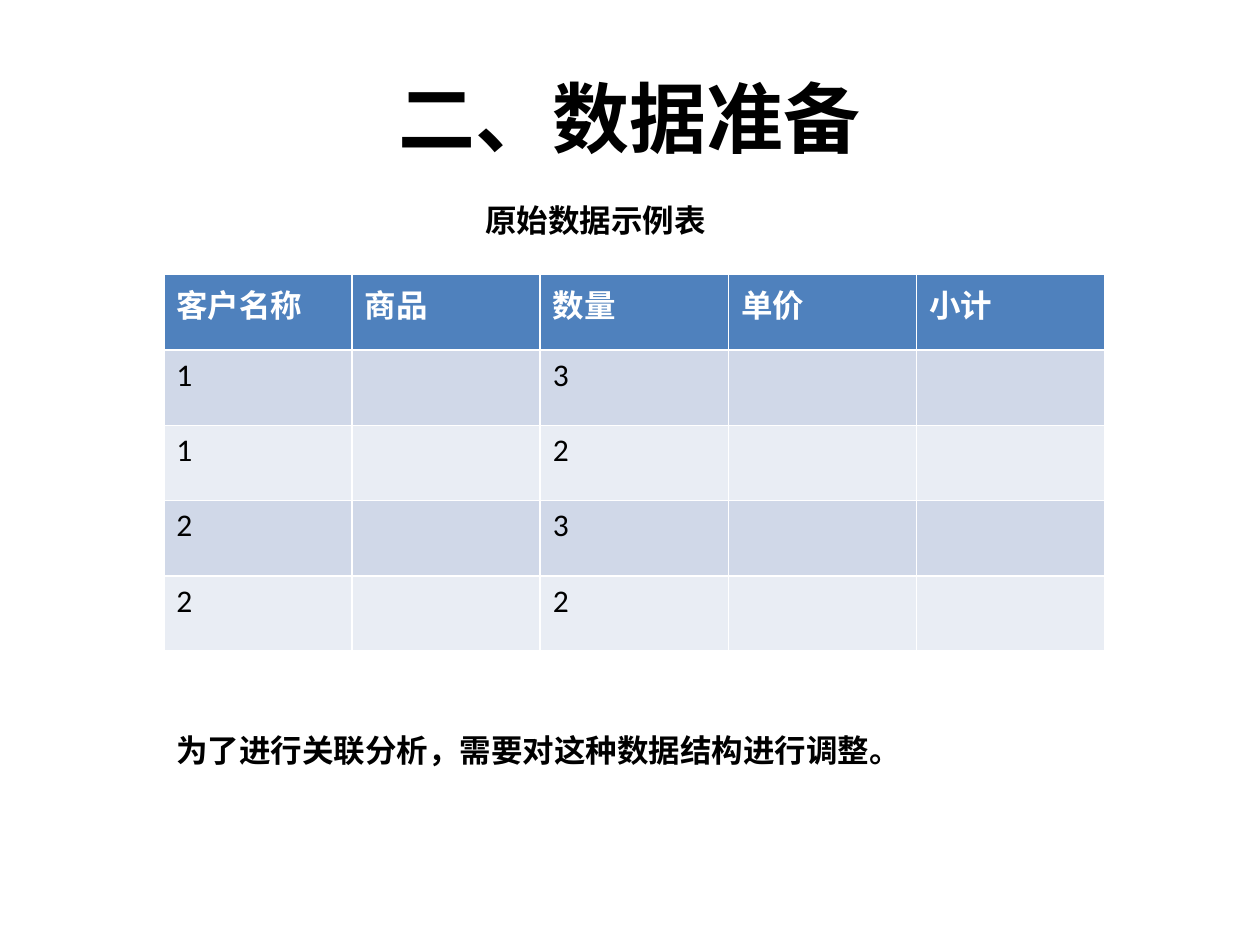
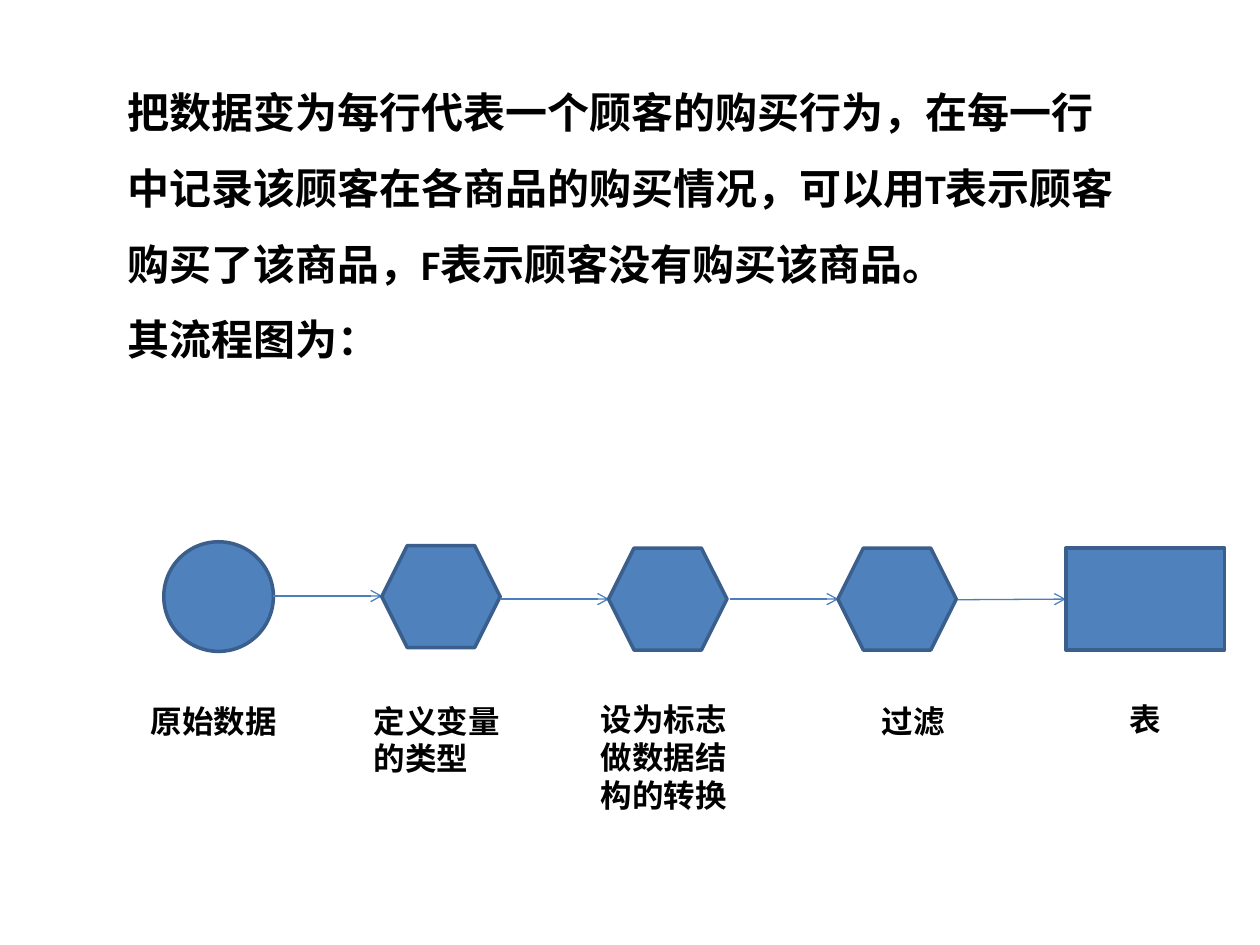
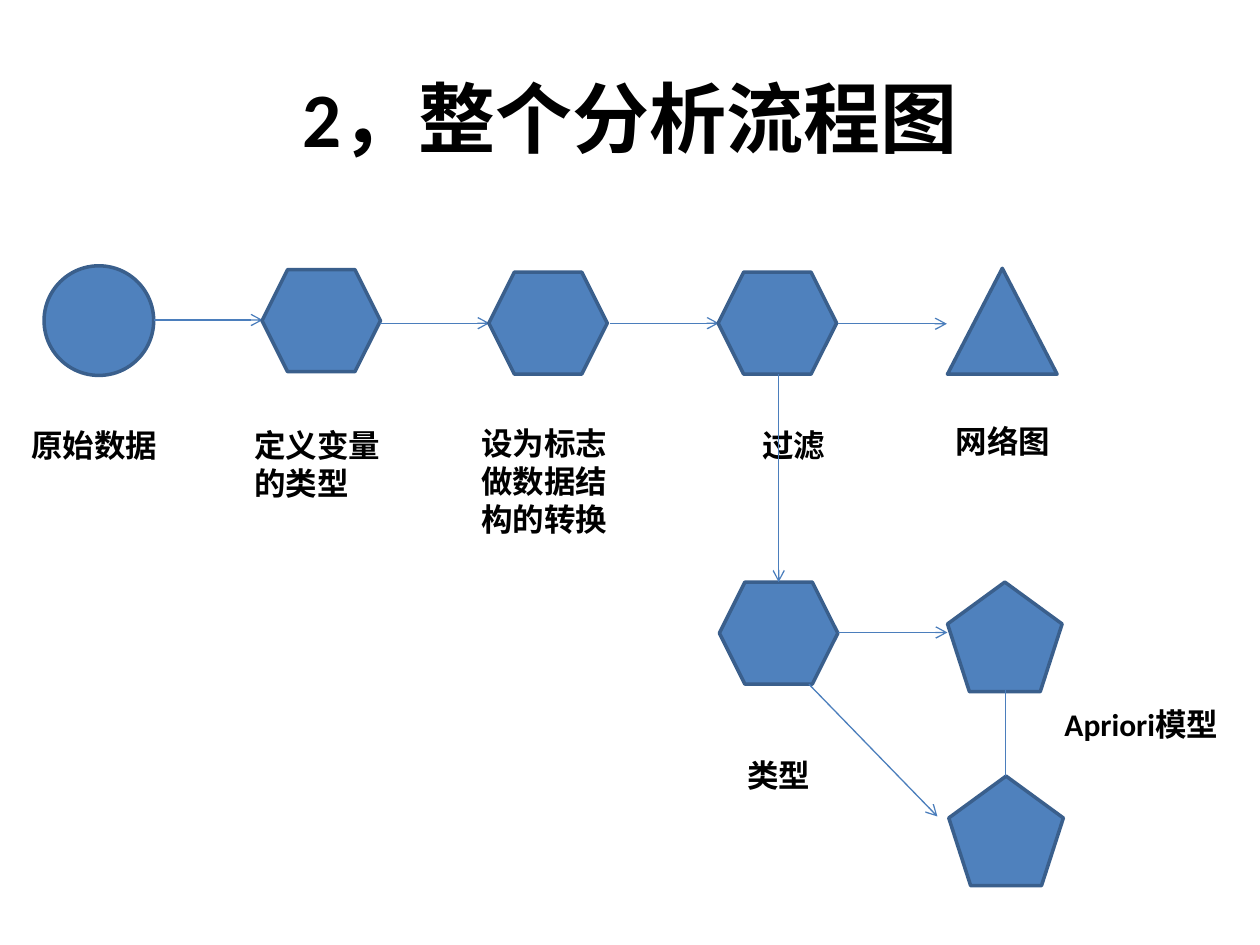
from dataclasses import dataclass

from lxml import etree
from pptx import Presentation
from pptx import util as u
from pptx.dml.color import RGBColor
from pptx.enum import shapes, text
from pptx.oxml import ns

# Shared style
FONT = "Calibri"
BLACK = RGBColor(0x00, 0x00, 0x00)
WHITE = RGBColor(0xFF, 0xFF, 0xFF)
BLUE = RGBColor(0x4F, 0x81, 0xBD)
OUTLINE = RGBColor(0x3A, 0x5F, 0x8C)
ARROW = RGBColor(0x4B, 0x7E, 0xBC)
BANDS = (RGBColor(0xD0, 0xD8, 0xE8), RGBColor(0xE9, 0xED, 0xF4))
TITLE_SIZE, BODY_SIZE, TEXT_SIZE = 44, 24, 18

# Slide grid: 100 columns by 75 rows of square units
WIDTH, HEIGHT = u.Inches(10), u.Inches(7.5)
COLUMN, ROW = WIDTH / 100, HEIGHT / 75

KIND = shapes.MSO_SHAPE
LEFT, CENTER = text.PP_ALIGN.LEFT, text.PP_ALIGN.CENTER
LABEL_WIDTH, LABEL_HEIGHT = 12.6, 4
ARROW_LENGTH = 8.65


@dataclass(frozen=True)
class Box:
    left: float
    top: float
    width: float
    height: float

    def lengths(self) -> tuple[int, int, int, int]:
        return (round(self.left * COLUMN), round(self.top * ROW),
                round(self.width * COLUMN), round(self.height * ROW))


@dataclass(frozen=True)
class Step:
    """A flow node, its label and outgoing arrow, relative to the chain's start."""
    kind: KIND
    box: Box
    label: str
    label_left: float
    label_top: float
    align: text.PP_ALIGN
    arrow_left: float
    arrow_top: float


def hexagon(left: float, top: float) -> Box:
    return Box(left, top, 9.4, 8.1)


CHAIN = (
    Step(KIND.OVAL, Box(0, 0, 8.7, 8.7), "原始数据", -2, 12.2, LEFT, 8.7, 4.3),
    Step(KIND.HEXAGON, hexagon(17.3, 0.3), "定义变量的类型", 15.7, 12.2, LEFT, 26.7, 4.55),
    Step(KIND.HEXAGON, hexagon(35.3, 0.5), "设为标志\n做数据结构的转换", 33.7, 12.1, LEFT, 44.9, 4.55),
    Step(KIND.HEXAGON, hexagon(53.5, 0.5), "过滤", 53.2, 12.2, CENTER, 63, 4.6),
)


# Drawing helpers
def format_paragraph(paragraph, size: float, color: RGBColor = BLACK, bold: bool = True) -> None:
    paragraph.font.name = FONT
    paragraph.font.size = u.Pt(size)
    paragraph.font.bold = bold
    paragraph.font.color.rgb = color


def add_slide(presentation, title: str = ""):
    layout_index = 5 if title else 6
    slide = presentation.slides.add_slide(presentation.slide_layouts[layout_index])
    if title:
        slide.shapes.title.text_frame.text = title
        paragraph = slide.shapes.title.text_frame.paragraphs[0]
        paragraph.alignment = CENTER
        format_paragraph(paragraph, TITLE_SIZE)
    return slide


def add_text(slide, box: Box, words: str, align: text.PP_ALIGN = LEFT,
             size: float = TEXT_SIZE, spacing: float = 1.0) -> None:
    frame = slide.shapes.add_textbox(*box.lengths()).text_frame
    frame.word_wrap = True
    frame.auto_size = text.MSO_AUTO_SIZE.SHAPE_TO_FIT_TEXT
    frame.text = words
    for paragraph in frame.paragraphs:
        paragraph.alignment = align
        paragraph.line_spacing = spacing
        format_paragraph(paragraph, size)


def add_label(slide, left: float, top: float, words: str,
              align: text.PP_ALIGN = CENTER, width: float = LABEL_WIDTH) -> None:
    add_text(slide, Box(left, top, width, LABEL_HEIGHT), words, align)


def add_node(slide, kind: KIND, box: Box):
    shape = slide.shapes.add_shape(kind, *box.lengths())
    shape.shadow.inherit = False
    shape.fill.solid()
    shape.fill.fore_color.rgb = BLUE
    shape.line.color.rgb = OUTLINE
    shape.line.width = u.Pt(2)
    return shape


def add_line(slide, left: float, top: float, right: float, bottom: float, arrow: bool = True):
    connector = slide.shapes.add_connector(
        shapes.MSO_CONNECTOR.STRAIGHT, round(left * COLUMN), round(top * ROW),
        round(right * COLUMN), round(bottom * ROW))
    connector.line.color.rgb = ARROW
    connector.line.width = u.Pt(0.75)
    properties = connector.element.spPr
    if arrow:
        line = properties.find(ns.qn("a:ln"))
        etree.SubElement(line, ns.qn("a:tailEnd"), type="arrow")
    etree.SubElement(properties, ns.qn("a:effectLst"))
    return connector


def add_chain(slide, left: float, top: float):
    """Draw the shared steps and return the last arrow."""
    for step in CHAIN:
        box = step.box
        add_node(slide, step.kind, Box(left + box.left, top + box.top, box.width, box.height))
        start, level = left + step.arrow_left, top + step.arrow_top
        connector = add_line(slide, start, level, start + ARROW_LENGTH, level)
        add_label(slide, left + step.label_left, top + step.label_top, step.label, step.align)
    return connector


def add_data_table(slide, box: Box, rows: list[tuple[str, ...]]) -> None:
    table = slide.shapes.add_table(len(rows), len(rows[0]), *box.lengths()).table
    for row_index, row in enumerate(rows):
        header = row_index == 0
        for column_index, words in enumerate(row):
            cell = table.cell(row_index, column_index)
            cell.fill.solid()
            cell.fill.fore_color.rgb = BLUE if header else BANDS[(row_index - 1) % 2]
            cell.text = words
            format_paragraph(cell.text_frame.paragraphs[0], TEXT_SIZE,
                             WHITE if header else BLACK, header)


# Slides
def build_data_slide(presentation) -> None:
    slide = add_slide(presentation, "二、数据准备")
    header = ("客户名称", "商品", "数量", "单价", "小计")
    orders = (("1", "3"), ("1", "2"), ("2", "3"), ("2", "2"))
    rows = [header] + [(customer, "", count, "", "") for customer, count in orders]
    add_data_table(slide, Box(13, 21.8, 74.7, 29.9), rows)
    add_text(slide, Box(24, 15.5, 46.5, 4), "原始数据示例表", CENTER)
    add_text(slide, Box(13, 57.5, 72.4, 4), "为了进行关联分析，需要对这种数据结构进行调整。")


def build_preparation_slide(presentation) -> None:
    slide = add_slide(presentation)
    add_text(slide, Box(9.1, 4.4, 81.1, 25.2),
             "把数据变为每行代表一个顾客的购买行为，在每一行中记录该顾客在各商品的购买情况，"
             "可以用T表示顾客购买了该商品，F表示顾客没有购买该商品。\n其流程图为：",
             size=BODY_SIZE, spacing=1.5)
    last_arrow = add_chain(slide, 13, 43)
    output_table = add_node(slide, KIND.RECTANGLE, Box(84.6, 43.5, 12.6, 8.1))
    last_arrow.end_connect(output_table, 1)
    add_label(slide, 84.6, 55.1, "表")


def build_analysis_slide(presentation) -> None:
    slide = add_slide(presentation, "2，整个分析流程图")
    add_chain(slide, 3.5, 21.1)

    # Network graph branch
    add_label(slide, 73.3, 33, "网络图")
    add_node(slide, KIND.ISOSCELES_TRIANGLE, Box(75.2, 21.3, 8.7, 8.4))

    # Model branch
    add_node(slide, KIND.HEXAGON, hexagon(57.1, 46.2))
    add_label(slide, 55.5, 59.5, "类型")
    for left, top in ((75.2, 46.2), (75.3, 61.6)):
        add_node(slide, KIND.REGULAR_PENTAGON, Box(left, top, 9.1, 8.7))
    add_line(slide, 61.8, 29.7, 61.8, 46.2)
    add_line(slide, 66.5, 50.2, 75.2, 50.2)
    add_line(slide, 64.2, 54.3, 74.4, 64.8)
    add_line(slide, 79.8, 54.8, 79.8, 61.6, arrow=False)
    add_label(slide, 83.5, 55.5, "Apriori模型", LEFT, 14.3)


def main() -> None:
    presentation = Presentation()
    presentation.slide_width, presentation.slide_height = WIDTH, HEIGHT
    build_data_slide(presentation)
    build_preparation_slide(presentation)
    build_analysis_slide(presentation)
    presentation.save("out.pptx")


if __name__ == "__main__":
    main()
